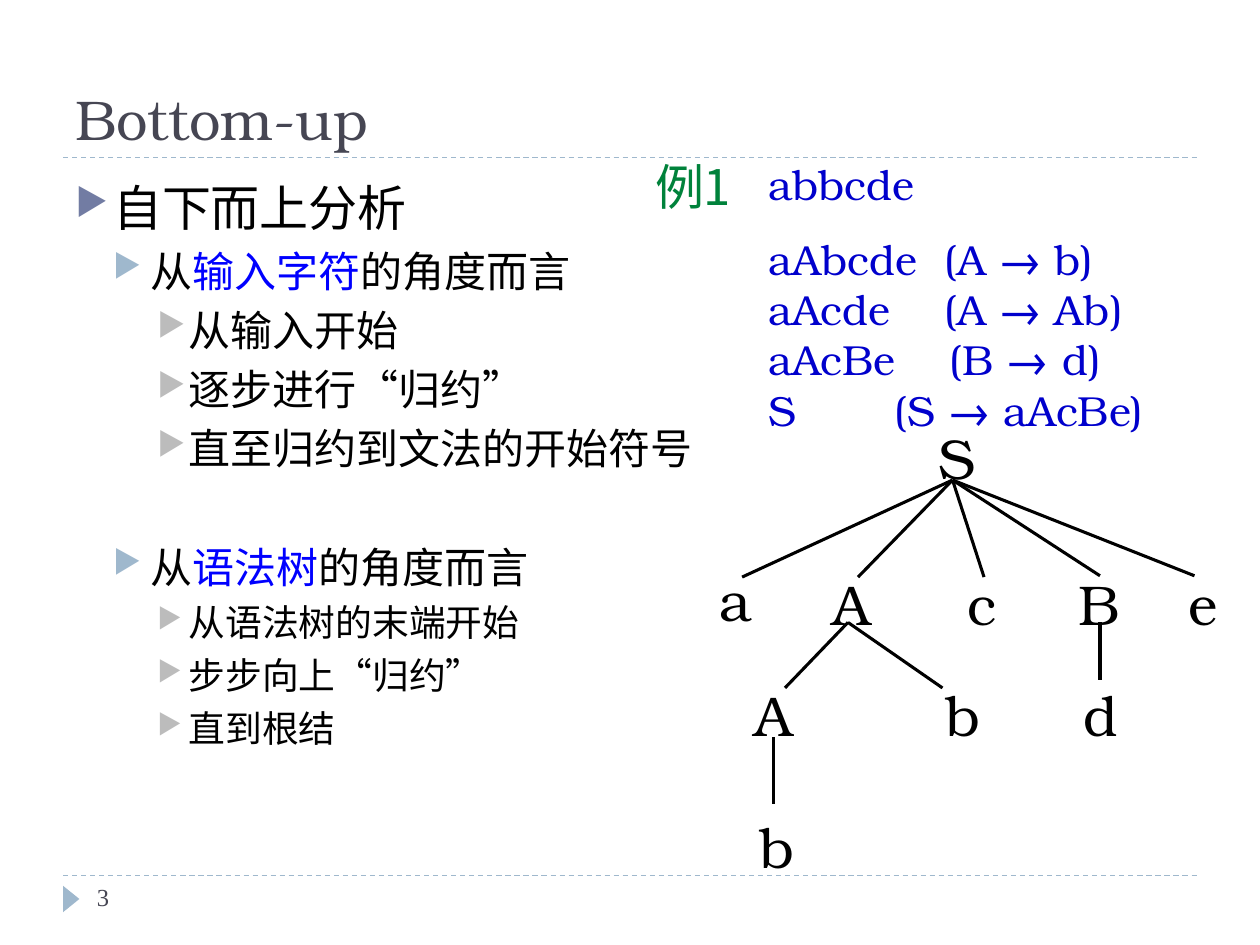
"""Build a slide on bottom-up parsing with a sample derivation and its tree."""
from typing import NamedTuple, Optional

from lxml import etree
from pptx import Presentation
from pptx import util as u
from pptx.dml.color import RGBColor
from pptx.enum import dml, shapes, text
from pptx.oxml.ns import qn

PX = 9144
SERIF, CJK = "TeX Gyre Bonum", "Noto Sans CJK SC"
BLACK, SLATE, STEEL = "000000", "464653", "9FB8CD"
BLUE, NAVY, GREEN = "0000FF", "0000CC", "00823B"


class Box(NamedTuple):
    x: int
    y: int
    w: int
    h: int


class Level(NamedTuple):
    left: int
    hang: int
    tint: str


class Item(NamedTuple):
    words: str
    level: int
    size: int
    before: int = 5


class Step(NamedTuple):
    form: str
    rule: str
    stop: int


class Node(NamedTuple):
    name: str
    x: int
    y: int
    w: int


class Fan(NamedTuple):
    x: int
    y: int
    ends: list


LEVELS = [Level(30, 30, "727CA3"), Level(60, 30, STEEL), Level(90, 25, "BCBCBC")]
ITEMS = [
    Item("自下而上分析", 0, 28, 0),
    Item("从|输入字符|的角度而言", 1, 24),
    Item("从输入开始", 2, 24),
    Item("逐步进行“归约”", 2, 24),
    Item("直至归约到文法的开始符号", 2, 24),
    Item("从|语法树|的角度而言", 1, 24, 39),
    Item("从语法树的末端开始", 2, 21),
    Item("步步向上“归约”", 2, 21),
    Item("直到根结", 2, 21),
]
STEPS = [
    Step("aAbcde", "(A → b)", 140),
    Step("aAcde", "(A → Ab)", 140),
    Step("aAcBe", "(B → d)", 144),
    Step("S", "(S → aAcBe)", 100),
]
NODES = [
    Node("S", 745, 336, 30),
    Node("a", 571, 449, 26), Node("A", 661, 452, 31), Node("c", 768, 452, 23),
    Node("B", 856, 452, 33), Node("e", 943, 452, 23),
    Node("A", 599, 540, 31), Node("b", 750, 540, 28), Node("d", 860, 540, 29),
    Node("b", 603, 645, 28),
]
FANS = [
    Fan(756, 381, [(589, 458), (681, 458), (781, 458), (873, 457), (948, 457)]),
    Fan(673, 494, [(623, 546), (748, 546)]),
    Fan(873, 494, [(873, 540)]),
    Fan(614, 585, [(614, 638)]),
]


def px(n: int) -> u.Emu:
    """Turn px into EMU."""
    return u.Emu(n * PX)


def paint(code: str) -> RGBColor:
    """Turn a hex string into a colour."""
    return RGBColor.from_string(code)


def style(para, size: int, face: str, tint: str) -> None:
    """Set the font of a whole paragraph."""
    font = para.font
    font.size, font.name = u.Pt(size), face
    font.color.rgb = paint(tint)
    etree.SubElement(para._p.pPr.find(qn("a:defRPr")), qn("a:ea"), typeface=face)


def frame(slide, box: Box):
    """Add an empty wrapping text box."""
    body = slide.shapes.add_textbox(*map(px, box)).text_frame
    body.word_wrap = True
    return body


def label(slide, box: Box, words: str, size: int, face: str, tint: str):
    """Add a text box with one line."""
    body = frame(slide, box)
    para = body.paragraphs[0]
    para.add_run().text = words
    style(para, size, face, tint)
    return body


def stroke(slide, start: tuple, end: tuple, tint: str, width: float, dash=None) -> None:
    """Draw a straight line."""
    line = slide.shapes.add_connector(
        shapes.MSO_CONNECTOR.STRAIGHT, *map(px, start + end))
    line.line.color.rgb = paint(tint)
    line.line.width = u.Pt(width)
    if dash is not None:
        line.line.dash_style = dash
    etree.SubElement(line._element.spPr, qn("a:effectLst"))


def bullet(para, level: Level) -> None:
    """Give a paragraph its indent and arrow bullet."""
    props = para._p.get_or_add_pPr()
    props.set("marL", str(px(level.left)))
    props.set("indent", str(px(-level.hang)))
    tint = etree.SubElement(props, qn("a:buClr"))
    etree.SubElement(tint, qn("a:srgbClr"), val=level.tint)
    etree.SubElement(props, qn("a:buSzPct"), val="76000")
    etree.SubElement(props, qn("a:buChar"), char="▶")


def outline(slide, box: Box, items: list) -> None:
    """Write the bulleted outline, with marked words in blue."""
    body = frame(slide, box)
    for i, item in enumerate(items):
        para = body.add_paragraph() if i else body.paragraphs[0]
        para.level = item.level
        bullet(para, LEVELS[item.level])
        para.space_before = u.Pt(item.before)
        para.line_spacing = u.Pt(round(item.size * 1.2, 1))
        for k, part in enumerate(item.words.split("|")):
            run = para.add_run()
            run.text = part
            if k % 2:
                run.font.color.rgb = paint(BLUE)
        style(para, item.size, CJK, BLACK)


def derive(slide, box: Box, steps: list) -> None:
    """Write the reduction steps with their rules at tab stops."""
    body = frame(slide, box)
    for i, step in enumerate(steps):
        para = body.add_paragraph() if i else body.paragraphs[0]
        para.add_run().text = f"{step.form}\t{step.rule}"
        tabs = etree.SubElement(para._p.get_or_add_pPr(), qn("a:tabLst"))
        etree.SubElement(tabs, qn("a:tab"), pos=str(px(step.stop)), algn="l")
        style(para, 24, SERIF, NAVY)


def tree(slide, nodes: list, fans: list) -> None:
    """Draw the syntax tree."""
    for node in nodes:
        body = label(slide, Box(node.x, node.y, node.w, 54), node.name, 32, SERIF, BLACK)
        body.margin_left = body.margin_right = body.margin_top = body.margin_bottom = 0
        body.word_wrap = False
        body.auto_size = text.MSO_AUTO_SIZE.SHAPE_TO_FIT_TEXT
    for fan in fans:
        for end in fan.ends:
            stroke(slide, (fan.x, fan.y), end, BLACK, 1.75)


def marker(slide, box: Box) -> None:
    """Draw the footer triangle."""
    mark = slide.shapes.add_shape(
        shapes.MSO_SHAPE.ISOSCELES_TRIANGLE, *map(px, box))
    mark.rotation = 90
    mark.shadow.inherit = False
    mark.fill.solid()
    mark.fill.fore_color.rgb = paint(STEEL)
    mark.line.fill.background()


def main() -> None:
    """Build and save the slide."""
    deck = Presentation()
    deck.slide_width, deck.slide_height = px(1000), px(750)
    slide = deck.slides.add_slide(deck.slide_layouts[6])
    for y in (695, 125):
        stroke(slide, (50, y), (950, y), STEEL, 0.75, dml.MSO_LINE.DASH)
    marker(slide, Box(46, 707, 21, 13))
    title = label(slide, Box(50, 17, 900, 108), "Bottom-up", 32, SERIF, SLATE)
    title.vertical_anchor = text.MSO_ANCHOR.BOTTOM
    outline(slide, Box(50, 136, 900, 537), ITEMS)
    label(slide, Box(67, 695, 217, 40), "3", 14, "Times New Roman", SLATE)
    label(slide, Box(600, 121, 225, 50), "abbcde", 24, SERIF, NAVY)
    derive(slide, Box(600, 180, 342, 172), STEPS)
    tree(slide, NODES, FANS)
    label(slide, Box(510, 119, 92, 75), "例1", 28, CJK, GREEN)
    deck.save("out.pptx")


if __name__ == "__main__":
    main()
